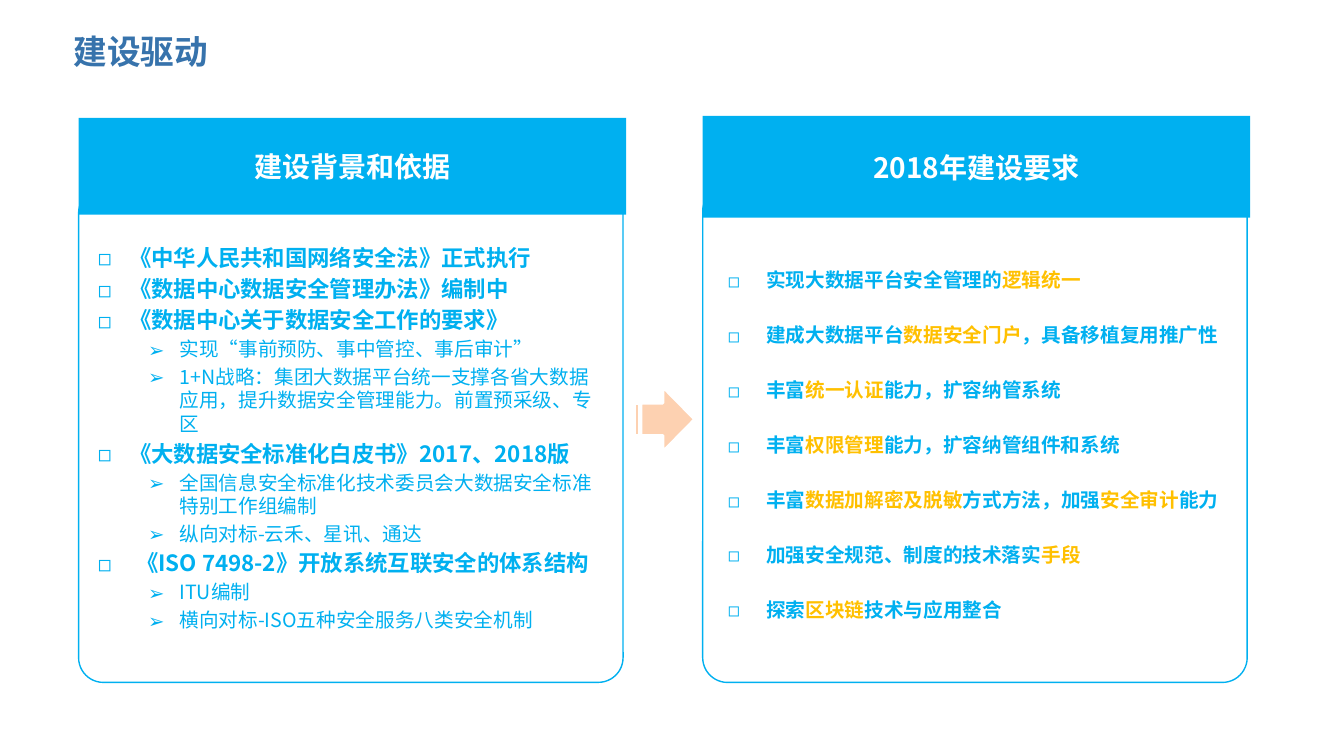
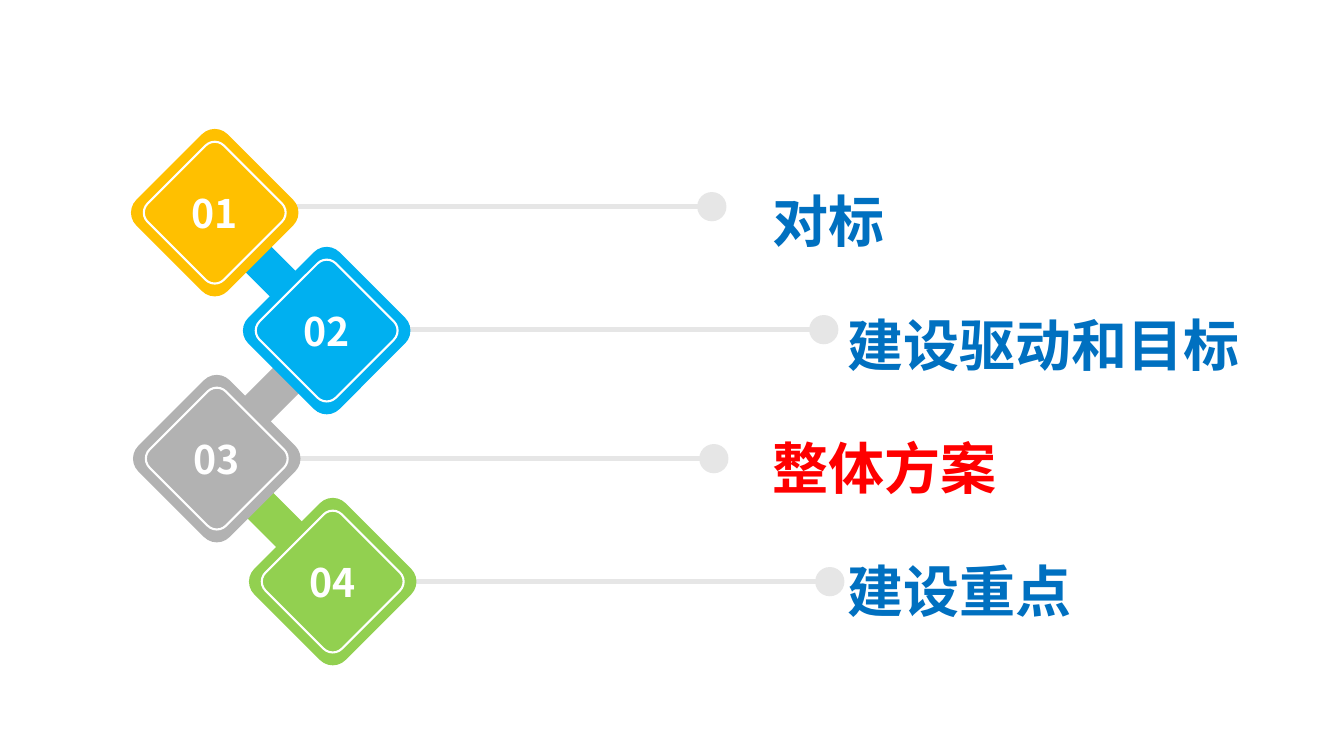
from itertools import pairwise

from lxml import etree
from pptx import Presentation
from pptx.dml.color import RGBColor
from pptx.enum.shapes import MSO_CONNECTOR, MSO_SHAPE
from pptx.enum.text import MSO_ANCHOR, MSO_AUTO_SIZE, PP_ALIGN
from pptx.oxml.ns import qn
from pptx.util import Inches, Pt

FONT = "Noto Sans CJK SC"
WHITE = RGBColor(0xFF, 0xFF, 0xFF)
TITLE_BLUE = RGBColor(0x37, 0x73, 0xAC)
SKY = RGBColor(0x00, 0xB0, 0xF0)
AMBER = RGBColor(0xFF, 0xC0, 0x00)
GRAY = RGBColor(0xB2, 0xB2, 0xB2)
GREEN = RGBColor(0x92, 0xD0, 0x50)
PEACH = RGBColor(0xFD, 0xD1, 0xB1)
PALE = RGBColor(0xE6, 0xE6, 0xE6)
AGENDA_BLUE = RGBColor(0x00, 0x70, 0xC0)
RED = RGBColor(0xFF, 0x00, 0x00)

LINE_HEIGHT = 1.2
LIST_STYLES = {
    "main": dict(bullet="◻", margin=0.31, hanging=0.31, size=16, bold=True, gap=3.2),
    "standard": dict(bullet="◻", margin=0.38, hanging=0.38, size=16, bold=True, gap=3.2),
    "detail": dict(bullet="➢", margin=0.81, hanging=0.31, size=14, bold=False, gap=2.8),
    "demand": dict(bullet="◻", margin=0.38, hanging=0.38, size=14, bold=True, gap=22.4),
}

BACKGROUND = [
    ("main", ["《中华人民共和国网络安全法》正式执行"]),
    ("main", ["《数据中心数据安全管理办法》编制中"]),
    ("main", ["《数据中心关于数据安全工作的要求》"]),
    ("detail", ["实现“事前预防、事中管控、事后审计”"]),
    ("detail", ["1+N战略：集团大数据平台统一支撑各省大数据应用，提升数据安全管理能力。前置预采级、专区"]),
    ("main", ["《大数据安全标准化白皮书》2017、2018版"]),
    ("detail", ["全国信息安全标准化技术委员会大数据安全标准特别工作组编制"]),
    ("detail", ["纵向对标-云禾、星讯、通达"]),
    ("standard", ["《ISO 7498-2》开放系统互联安全的体系结构"]),
    ("detail", ["ITU编制"]),
    ("detail", ["横向对标-ISO五种安全服务八类安全机制"]),
]
DEMANDS = [
    ("demand", parts)
    for parts in (
        ["实现大数据平台安全管理的", "逻辑统一"],
        ["建成大数据平台", "数据安全门户", "，具备移植复用推广性"],
        ["丰富", "统一认证", "能力，扩容纳管系统"],
        ["丰富", "权限管理", "能力，扩容纳管组件和系统"],
        ["丰富", "数据加解密及脱敏", "方式方法，加强", "安全审计", "能力"],
        ["加强安全规范、制度的技术落实", "手段"],
        ["探索", "区块链", "技术与应用整合"],
    )
]
STEPS = [
    ("01", AMBER, 2.13, 2.11, 2.05),
    ("02", SKY, 3.24, 3.28, 3.27),
    ("03", GRAY, 2.15, 4.55, 4.55),
    ("04", GREEN, 3.3, 5.77, 5.77),
]
AGENDA = [
    ("对标", AGENDA_BLUE, 0),
    ("建设驱动和目标", AGENDA_BLUE, 0.75),
    ("整体方案", RED, 0),
    ("建设重点", AGENDA_BLUE, 0.75),
]


def style_paragraph(paragraph, size, color, bold=True, align=PP_ALIGN.LEFT):
    paragraph.alignment = align
    font = paragraph.font
    font.name = FONT
    font.size = Pt(size)
    font.bold = bold
    font.color.rgb = color
    defaults = paragraph._p.get_or_add_pPr().find(qn("a:defRPr"))
    latin = defaults.find(qn("a:latin"))
    east_asian = etree.Element(qn("a:ea"), typeface=FONT)
    latin.addnext(east_asian)


def set_bullet(paragraph, bullet, margin, hanging):
    properties = paragraph._p.get_or_add_pPr()
    properties.set("marL", str(Inches(margin)))
    properties.set("indent", str(-Inches(hanging)))
    if bullet:
        etree.SubElement(properties, qn("a:buFont"), typeface=FONT)
        etree.SubElement(properties, qn("a:buChar"), char=bullet)
    else:
        etree.SubElement(properties, qn("a:buNone"))


def place(shape, left, top, width, height):
    shape.left, shape.top = Inches(left), Inches(top)
    shape.width, shape.height = Inches(width), Inches(height)


def prepare_frame(shape, anchor, margin=0.0):
    frame = shape.text_frame
    frame.auto_size = MSO_AUTO_SIZE.NONE
    frame.word_wrap = True
    frame.vertical_anchor = anchor
    frame.margin_left = frame.margin_right = Inches(margin)
    frame.margin_top = frame.margin_bottom = Inches(margin / 2)
    return frame


def paragraphs_for(frame, items):
    for index, item in enumerate(items):
        yield index, frame.paragraphs[0] if index == 0 else frame.add_paragraph(), item


def add_shape(slide, kind, left, top, width, height, fill=None, line=None, line_width=1):
    shape = slide.shapes.add_shape(kind, Inches(left), Inches(top), Inches(width), Inches(height))
    shape.shadow.inherit = False
    if fill is None:
        shape.fill.background()
    else:
        shape.fill.solid()
        shape.fill.fore_color.rgb = fill
    if line is None:
        shape.line.fill.background()
    else:
        shape.line.color.rgb = line
        shape.line.width = Pt(line_width)
    return shape


def add_centered(slide, kind, x, y, width, height, **look):
    return add_shape(slide, kind, x - width / 2, y - height / 2, width, height, **look)


def set_label(shape, text, size):
    frame = prepare_frame(shape, MSO_ANCHOR.MIDDLE)
    frame.text = text
    style_paragraph(frame.paragraphs[0], size, WHITE, align=PP_ALIGN.CENTER)


def set_title(slide, text):
    title = slide.shapes.title
    place(title, 0.63, 0.19, 7.92, 0.63)
    frame = prepare_frame(title, MSO_ANCHOR.MIDDLE, 0.1)
    frame.text = text
    style_paragraph(frame.paragraphs[0], 24, TITLE_BLUE)


def fill_list(placeholder, items):
    frame = prepare_frame(placeholder, MSO_ANCHOR.MIDDLE)
    for index, paragraph, (style_name, parts) in paragraphs_for(frame, items):
        style = LIST_STYLES[style_name]
        paragraph.line_spacing = Pt(style["size"] * LINE_HEIGHT)
        paragraph.space_before = Pt(style["gap"] if index else 0)
        set_bullet(paragraph, style["bullet"], style["margin"], style["hanging"])
        style_paragraph(paragraph, style["size"], SKY, style["bold"])
        for position, part in enumerate(parts):
            run = paragraph.add_run()
            run.text = part
            if position % 2:
                run.font.color.rgb = AMBER


def add_panel(slide, placeholder, box, header_height, heading, items, list_inset, list_top):
    left, top, width, height = box
    outline_top = top + 0.7
    outline = add_shape(slide, MSO_SHAPE.ROUNDED_RECTANGLE, left, outline_top,
                        width, height - 0.7, line=SKY)
    outline.adjustments[0] = 0.05
    header = add_shape(slide, MSO_SHAPE.RECTANGLE, left, top, width + 0.03, header_height, fill=SKY)
    set_label(header, heading, 20)
    place(placeholder, left + list_inset, top + list_top,
          width - list_inset - 0.16, height - list_top)
    fill_list(placeholder, items)


def build_drivers(presentation):
    slide = presentation.slides.add_slide(presentation.slide_layouts[3])
    set_title(slide, "建设驱动")
    left_list, right_list = slide.placeholders[1], slide.placeholders[2]
    add_panel(slide, left_list, (0.78, 1.17, 5.4, 5.6), 0.96,
              "建设背景和依据", BACKGROUND, 0.19, 0.74)
    add_panel(slide, right_list, (6.97, 1.15, 5.4, 5.62), 1.01,
              "2018年建设要求", DEMANDS, 0.25, 0.9)
    add_shape(slide, MSO_SHAPE.STRIPED_RIGHT_ARROW, 6.26, 3.84, 0.63, 0.64,
              fill=PEACH, line=WHITE, line_width=2)


def add_guide(slide, x, y, line_y):
    dot_x = x + 4.93
    line = slide.shapes.add_connector(MSO_CONNECTOR.STRAIGHT, Inches(x + 0.6), Inches(line_y),
                                      Inches(dot_x), Inches(line_y))
    line.line.color.rgb = PALE
    line.line.width = Pt(3.6)
    etree.SubElement(line._element.spPr, qn("a:effectLst"))
    add_centered(slide, MSO_SHAPE.OVAL, dot_x, line_y, 0.29, 0.29, fill=PALE)


def add_tilted(slide, x, y, width, height, rounding, angle=45, **look):
    shape = add_centered(slide, MSO_SHAPE.ROUNDED_RECTANGLE, x, y, width, height, **look)
    shape.adjustments[0] = rounding
    shape.rotation = angle


def add_diamond(slide, number, color, x, y):
    add_tilted(slide, x, y, 1.28, 1.28, 0.14, fill=color)
    add_tilted(slide, x, y, 1.07, 1.07, 0.12, line=WHITE, line_width=1.5)
    label = slide.shapes.add_textbox(Inches(x - 0.5), Inches(y - 0.3), Inches(1), Inches(0.6))
    set_label(label, number, 28)


def fill_agenda(placeholder, left, top, width, height):
    place(placeholder, left, top, width, height)
    frame = prepare_frame(placeholder, MSO_ANCHOR.TOP, 0.1)
    for index, paragraph, (text, color, margin) in paragraphs_for(frame, AGENDA):
        paragraph.text = text
        paragraph.line_spacing = Pt(80)
        paragraph.space_before = Pt(8 if index else 0)
        set_bullet(paragraph, None, margin, 0)
        style_paragraph(paragraph, 40, color)


def build_agenda(presentation):
    slide = presentation.slides.add_slide(presentation.slide_layouts[1])
    title = slide.shapes.title._element
    title.getparent().remove(title)
    for _, _, x, y, line_y in STEPS:
        add_guide(slide, x, y, line_y)
    for (_, _, x1, y1, _), (_, color, x2, y2, _) in pairwise(STEPS):
        add_tilted(slide, (x1 + x2) / 2, (y1 + y2) / 2, 1.08, 0.36, 0.3,
                   angle=45 if x2 > x1 else 135, fill=color)
    for number, color, x, y, _ in STEPS:
        add_diamond(slide, number, color, x, y)
    fill_agenda(slide.placeholders[1], 7.56, 1.36, 5.51, 4.99)


def main():
    presentation = Presentation()
    presentation.slide_width = Inches(13.33)
    presentation.slide_height = Inches(7.5)
    build_drivers(presentation)
    build_agenda(presentation)
    presentation.save("out.pptx")


if __name__ == "__main__":
    main()
